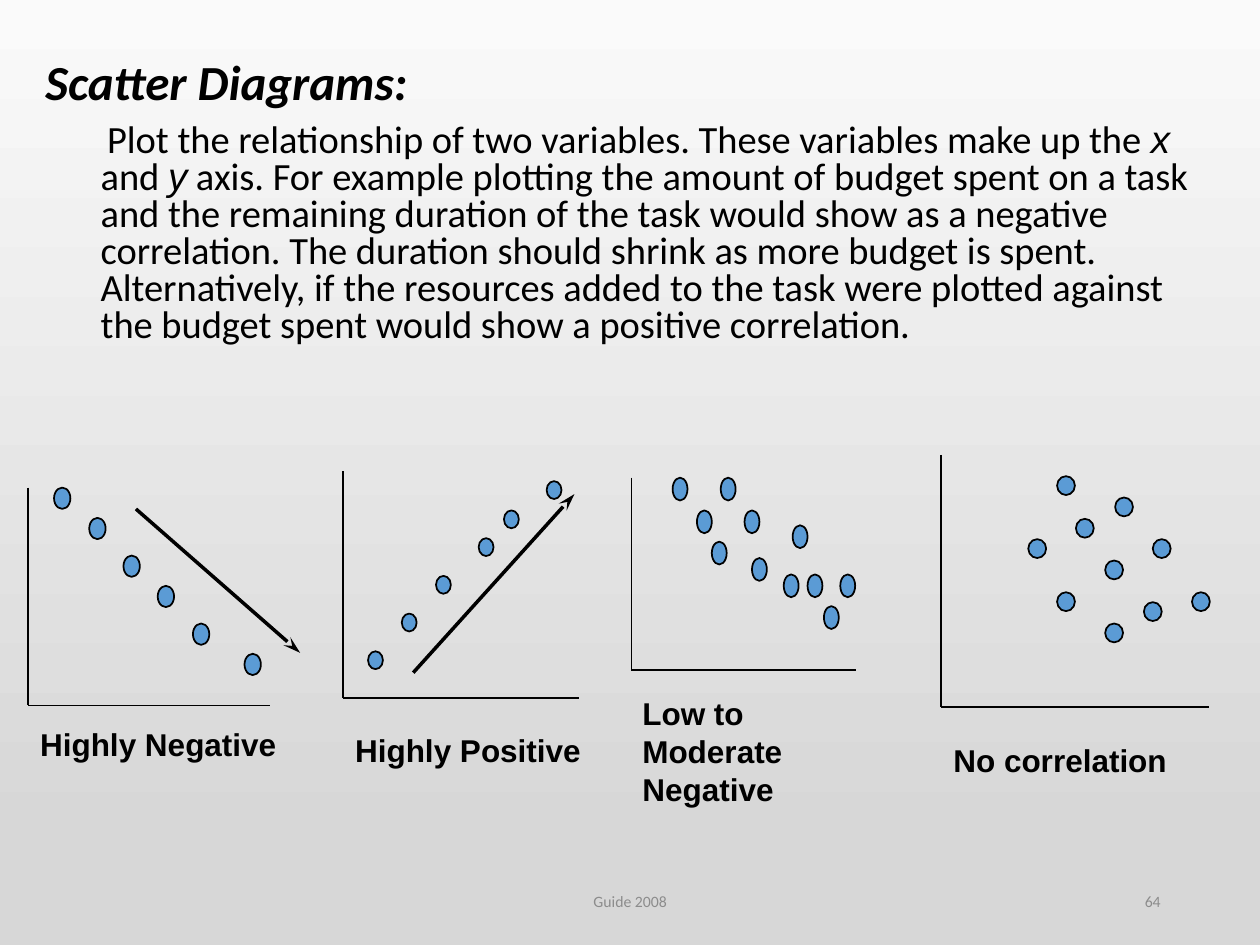
from dataclasses import dataclass
from typing import NamedTuple, Optional

from lxml.etree import SubElement
from pptx import Presentation
from pptx.dml.color import RGBColor
from pptx.enum.shapes import MSO_CONNECTOR, MSO_SHAPE
from pptx.enum.text import MSO_ANCHOR, MSO_AUTO_SIZE, PP_ALIGN
from pptx.oxml.ns import qn
from pptx.util import Cm, Pt


@dataclass(frozen=True)
class Theme:
    ink: RGBColor = RGBColor(0x00, 0x00, 0x00)
    muted: RGBColor = RGBColor(0x8C, 0x8C, 0x8C)
    dot: RGBColor = RGBColor(0x5B, 0x9B, 0xD5)
    background_top: RGBColor = RGBColor(0xFA, 0xFA, 0xFA)
    background_bottom: RGBColor = RGBColor(0xD7, 0xD7, 0xD7)
    text_font: str = "Calibri"
    label_font: str = "Arial"
    title_size: float = 28
    body_size: float = 22
    label_size: float = 18
    footer_size: float = 9
    thin_line: float = 1
    arrow_line: float = 2


THEME = Theme()


class Point(NamedTuple):
    x: float
    y: float


class Box(NamedTuple):
    """Left, top, width and height in centimetres."""
    left: float
    top: float
    width: float
    height: float

    def lengths(self) -> list:
        return [Cm(value) for value in self]


class Run(NamedTuple):
    text: str
    font: str = THEME.text_font
    italic: bool = False


@dataclass(frozen=True)
class ScatterDiagram:
    """Axes run from the origin up to axis_top and across to axis_right."""
    label: list[str]
    label_box: Box
    origin: Point
    axis_top: float
    axis_right: float
    dot_width: float
    dot_height: float
    dots: list[tuple[float, float]]
    arrow: Optional[tuple[Point, Point]] = None


BODY = [
    Run("Plot the relationship of two variables. These variables make up the "),
    Run("x", THEME.label_font, True),
    Run(" and "),
    Run("y", THEME.label_font, True),
    Run(" axis. For example plotting the amount of budget spent on a task and the "
        "remaining duration of the task would show as a negative correlation. The "
        "duration should shrink as more budget is spent. Alternatively, if the "
        "resources added to the task were plotted against the budget spent would "
        "show a positive correlation."),
]

DIAGRAMS = [
    ScatterDiagram(
        ["Highly Negative"], Box(0.56, 14.5, 5.64, 0.91),
        Point(0.56, 14.22), 9.83, 5.44, 0.33, 0.43,
        [(1.09, 9.83), (1.8, 10.44), (2.49, 11.2), (3.18, 11.81),
         (3.89, 12.57), (4.93, 13.18)],
        (Point(2.74, 10.26), Point(6.05, 13.16))),
    ScatterDiagram(
        ["Highly Positive"], Box(6.91, 14.61, 5.33, 1.14),
        Point(6.91, 14.07), 9.5, 11.68, 0.3, 0.36,
        [(7.42, 13.13), (8.1, 12.37), (8.79, 11.61), (9.65, 10.85),
         (10.16, 10.29), (11.02, 9.7)],
        (Point(8.33, 13.56), Point(11.58, 9.96))),
    ScatterDiagram(
        ["Low to Moderate", "Negative"], Box(12.7, 13.87, 5.51, 1.75),
        Point(12.73, 13.51), 9.63, 17.25, 0.3, 0.46,
        [(13.56, 9.63), (14.53, 9.63), (14.05, 10.29), (15.01, 10.29),
         (14.35, 10.92), (15.98, 10.59), (15.16, 11.25), (15.8, 11.58),
         (16.28, 11.58), (16.61, 12.22), (16.94, 11.58)]),
    ScatterDiagram(
        ["No correlation"], Box(18.97, 14.81, 5.72, 1.27),
        Point(18.97, 14.25), 9.17, 24.38, 0.36, 0.38,
        [(21.31, 9.6), (20.73, 10.87), (21.69, 10.46), (21.31, 11.94),
         (22.28, 12.57), (22.28, 11.3), (24.03, 11.94), (23.06, 12.14),
         (23.24, 10.87), (22.48, 10.03)]),
]


def write_text(shape, paragraphs: list[list[Run]], *, size: float,
               color: RGBColor = THEME.ink, bold: bool = False,
               align: PP_ALIGN = PP_ALIGN.LEFT, anchor: MSO_ANCHOR = MSO_ANCHOR.TOP,
               line_spacing: float = 1.0) -> None:
    frame = shape.text_frame
    frame.word_wrap = True
    frame.auto_size = MSO_AUTO_SIZE.NONE
    frame.vertical_anchor = anchor
    for index, runs in enumerate(paragraphs):
        paragraph = frame.add_paragraph() if index else frame.paragraphs[0]
        paragraph.alignment = align
        paragraph.line_spacing = line_spacing
        for part in runs:
            run = paragraph.add_run()
            run.text = part.text
            font = run.font
            font.name, font.size = part.font, Pt(size)
            font.bold, font.italic = bold, part.italic
            font.color.rgb = color


def add_line(shapes, start: Point, end: Point, width: float, arrow: bool = False) -> None:
    line = shapes.add_connector(MSO_CONNECTOR.STRAIGHT, *map(Cm, (*start, *end)))
    line.line.color.rgb = THEME.ink
    line.line.width = Pt(width)
    properties = line._element.spPr
    if arrow:
        SubElement(properties.find(qn("a:ln")), qn("a:tailEnd"), type="stealth", len="lg")
    SubElement(properties, qn("a:effectLst"))


def add_dot(shapes, box: Box) -> None:
    dot = shapes.add_shape(MSO_SHAPE.OVAL, *box.lengths())
    dot.shadow.inherit = False
    dot.fill.solid()
    dot.fill.fore_color.rgb = THEME.dot
    dot.line.color.rgb = THEME.ink
    dot.line.width = Pt(THEME.thin_line)


def draw_diagram(slide, diagram: ScatterDiagram) -> None:
    shapes = slide.shapes.add_group_shape().shapes
    origin = diagram.origin
    add_line(shapes, Point(origin.x, diagram.axis_top), origin, THEME.thin_line)
    add_line(shapes, origin, Point(diagram.axis_right, origin.y), THEME.thin_line)
    for left, top in diagram.dots:
        add_dot(shapes, Box(left, top, diagram.dot_width, diagram.dot_height))
    label = shapes.add_textbox(*diagram.label_box.lengths())
    write_text(label, [[Run(text, THEME.label_font)] for text in diagram.label],
               size=THEME.label_size, bold=True)
    if diagram.arrow:
        add_line(shapes, *diagram.arrow, THEME.arrow_line, arrow=True)


def paint_background(slide) -> None:
    fill = slide.background.fill
    fill.gradient()
    fill.gradient_angle = 270
    colors = (THEME.background_top, THEME.background_bottom)
    for stop, color, position in zip(fill.gradient_stops, colors, (0, 0.89)):
        stop.color.rgb = color
        stop.position = position


def main() -> None:
    presentation = Presentation()
    presentation.slide_width, presentation.slide_height = Cm(25.4), Cm(19.05)
    slide = presentation.slides.add_slide(presentation.slide_layouts[5])
    paint_background(slide)

    title = slide.shapes.title
    title.left, title.top, title.width, title.height = Box(0.66, 1.14, 24, 1.23).lengths()
    write_text(title, [[Run("Scatter Diagrams:", italic=True)]],
               size=THEME.title_size, bold=True, line_spacing=0.8)

    body = slide.shapes.add_textbox(*Box(0.66, 2.37, 24, 5.33).lengths())
    write_text(body, [BODY], size=THEME.body_size, line_spacing=0.8)
    indent = body.text_frame.paragraphs[0]._p.get_or_add_pPr()
    indent.set("marL", str(Cm(1.12)))
    indent.set("indent", str(Cm(0.13)))

    for text, box, align in (
            ("Guide 2008", Box(8.41, 17.65, 8.59, 1.02), PP_ALIGN.CENTER),
            ("64", Box(17.93, 17.65, 5.72, 1.02), PP_ALIGN.RIGHT)):
        write_text(slide.shapes.add_textbox(*box.lengths()), [[Run(text)]],
                   size=THEME.footer_size, color=THEME.muted, align=align,
                   anchor=MSO_ANCHOR.MIDDLE)

    for diagram in DIAGRAMS:
        draw_diagram(slide, diagram)
    presentation.save("out.pptx")


if __name__ == "__main__":
    main()
